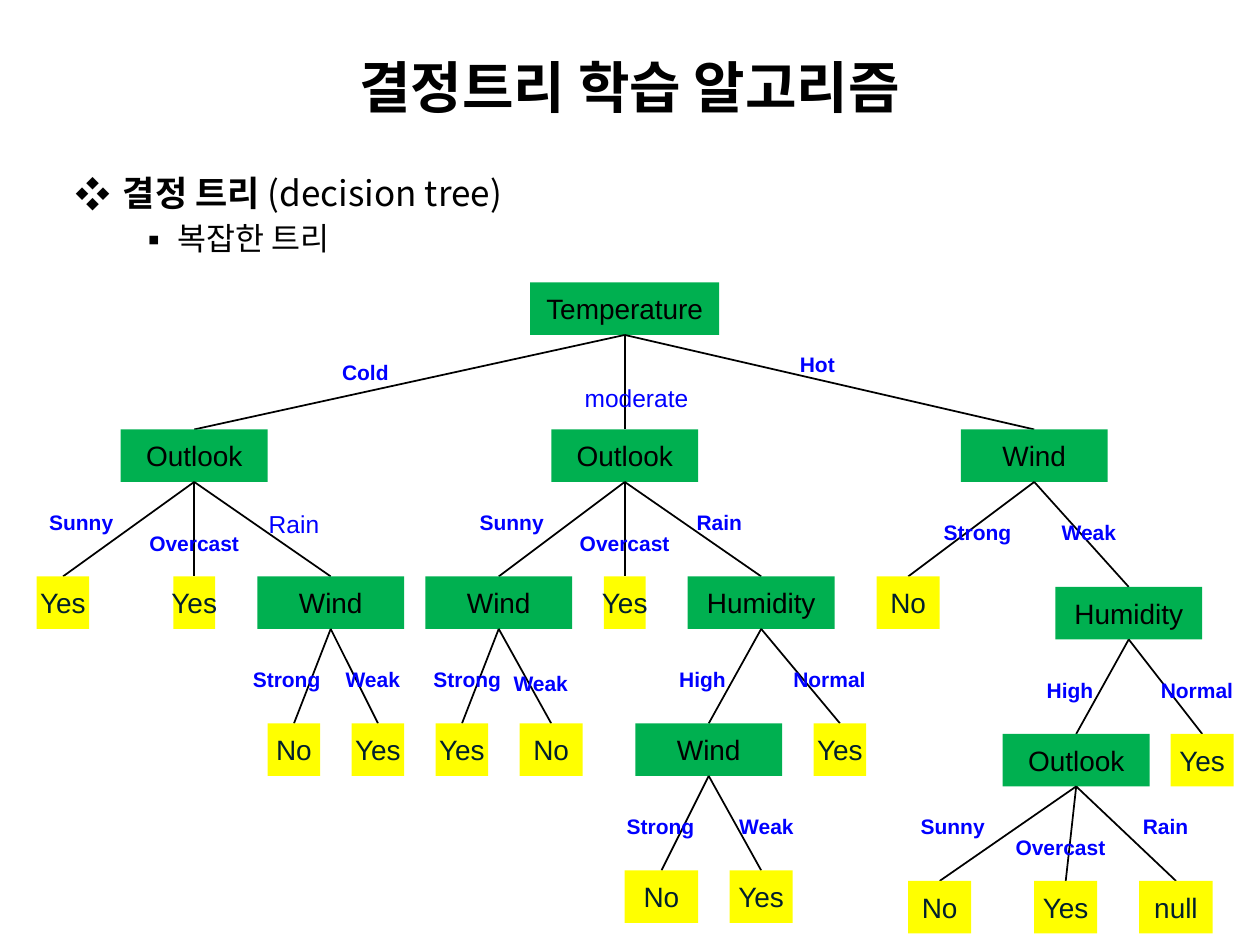
from collections import namedtuple

from lxml import etree
from pptx import Presentation
from pptx import util as u
from pptx.dml.color import RGBColor
from pptx.enum import shapes, text
from pptx.oxml.ns import qn

PX = u.Inches(1) // 120
KOREAN = "Noto Sans CJK KR"
BLACK, BLUE, GREEN, YELLOW, INK = "000000", "0000FF", "00B050", "FFFF00", "011F2D"
NODE_HEIGHT = 50
TEST_WIDTH = 140
LEFT_LABELS = {"Cold", "moderate", "Hot", "Sunny", "Strong", "High"}

# Label offsets start at the bottom centre of the parent node.
Label = namedtuple("Label", "words dx dy width plain", defaults=[False])
# dx runs from the parent's centre, drop from its bottom edge.
Node = namedtuple("Node", "name dx width branches drop", defaults=[(), 90])


def px(*lengths):
    return [u.Emu(length * PX) for length in lengths]


def colour(value):
    return RGBColor.from_string(value)


def add_run(para, words, size, ink=BLACK, bold=False, face="Arial"):
    span = para.add_run()
    span.text = words
    font = span.font
    font.size, font.bold, font.name = u.Pt(size), bold, face
    font.color.rgb = colour(ink)
    return span


def add_korean_run(para, words, size, bold=False, face=KOREAN):
    span = add_run(para, words, size, bold=bold, face=face)
    latin = span.font._element.find(qn("a:latin"))
    east_asian = etree.Element(qn("a:ea"), typeface=KOREAN)
    latin.addnext(east_asian)


def place(shape, box):
    shape.left, shape.top, shape.width, shape.height = px(*box)


def fill_title(page, box):
    title = page.shapes.title
    place(title, box)
    frame = title.text_frame
    frame.vertical_anchor = text.MSO_ANCHOR.MIDDLE
    frame.auto_size = text.MSO_AUTO_SIZE.NONE
    para = frame.paragraphs[0]
    para.alignment = text.PP_ALIGN.CENTER
    add_korean_run(para, "결정트리 학습 알고리즘", 32, bold=True, face="Arial")


def set_bullet(para, mark, left, hanging):
    props = para._p.get_or_add_pPr()
    props.set("marL", str(left * PX))
    props.set("indent", str(-hanging * PX))
    etree.SubElement(props, qn("a:buFont"), typeface=KOREAN)
    etree.SubElement(props, qn("a:buChar"), char=mark)


def fill_outline(page, box):
    body = page.placeholders[1]
    place(body, box)
    frame = body.text_frame
    frame.auto_size = text.MSO_AUTO_SIZE.NONE
    heading = frame.paragraphs[0]
    set_bullet(heading, "❖", 45, 45)
    add_korean_run(heading, "결정 트리 ", 20, bold=True)
    add_korean_run(heading, "(decision tree)", 20)
    detail = frame.add_paragraph()
    detail.level = 1
    set_bullet(detail, "▪", 97, 37)
    add_korean_run(detail, "복잡한 트리", 18)


def draw_box(page, node, centre, top):
    box = page.shapes.add_shape(
        shapes.MSO_SHAPE.RECTANGLE,
        *px(centre - node.width // 2, top, node.width, NODE_HEIGHT))
    box.shadow.inherit = False
    box.fill.solid()
    box.fill.fore_color.rgb = colour(GREEN if node.branches else YELLOW)
    box.line.fill.background()
    frame = box.text_frame
    frame.word_wrap = False
    frame.vertical_anchor = text.MSO_ANCHOR.MIDDLE
    para = frame.paragraphs[0]
    para.alignment = text.PP_ALIGN.CENTER
    add_run(para, node.name, 16, BLACK if node.branches else INK)


def draw_line(page, start, end):
    line = page.shapes.add_connector(
        shapes.MSO_CONNECTOR.STRAIGHT, *px(*start, *end))
    line.line.color.rgb = colour(BLACK)
    line.line.width = u.Pt(1)
    etree.SubElement(line._element.spPr, qn("a:effectLst"))


def draw_label(page, label, centre, bottom):
    box = page.shapes.add_textbox(
        *px(centre + label.dx, bottom + label.dy, label.width, 36))
    box.text_frame.word_wrap = True
    para = box.text_frame.paragraphs[0]
    is_left = label.words in LEFT_LABELS
    para.alignment = text.PP_ALIGN.LEFT if is_left else text.PP_ALIGN.CENTER
    add_run(para, label.words, 14 if label.plain else 12, BLUE, not label.plain)


def draw_tree(page, node, centre, top):
    draw_box(page, node, centre, top)
    bottom = top + NODE_HEIGHT
    for label, child in node.branches:
        child_centre, child_top = centre + child.dx, bottom + child.drop
        draw_line(page, (centre, bottom), (child_centre, child_top))
        draw_tree(page, child, child_centre, child_top)
        draw_label(page, label, centre, bottom)


def test(name, dx, *branches, width=TEST_WIDTH, drop=90):
    return Node(name, dx, width, branches, drop)


SUNNY = Label("Sunny", -150, 20, 100)
OVERCAST = Label("Overcast", -60, 40, 120)
STRONG, WEAK = Label("Strong", -90, 30, 90), Label("Weak", 0, 30, 80)
HIGH, NORMAL = Label("High", -90, 30, 90), Label("Normal", 0, 30, 130)

COLD = test(
    "Outlook", -410,
    (SUNNY, Node("Yes", -125, 50)),
    (OVERCAST, Node("Yes", 0, 40)),
    (Label("Rain", 50, 20, 90, plain=True), test(
        "Wind", 130,
        (STRONG._replace(dx=-86, width=102), Node("No", -35, 50)),
        (WEAK, Node("Yes", 45, 50)))))

MODERATE = test(
    "Outlook", 0,
    (SUNNY, test(
        "Wind", -120,
        (STRONG._replace(dx=-74), Node("Yes", -35, 50)),
        (WEAK._replace(dy=34), Node("No", 50, 60)))),
    (OVERCAST, Node("Yes", 0, 40)),
    (Label("Rain", 50, 20, 80), test(
        "Humidity", 130,
        (HIGH, test(
            "Wind", -50,
            (STRONG, Node("No", -45, 70)),
            (WEAK._replace(width=110), Node("Yes", 50, 60)))),
        (NORMAL, Node("Yes", 75, 50)))))

HOT = test(
    "Wind", 390,
    (STRONG._replace(dx=-98, width=98), Node("No", -120, 60)),
    (WEAK._replace(dx=12), test(
        "Humidity", 90,
        (HIGH, test(
            "Outlook", -50,
            (SUNNY._replace(dx=-160), Node("No", -130, 60)),
            (OVERCAST._replace(dx=-80, width=130), Node("Yes", -10, 60)),
            (Label("Rain", 40, 20, 90), Node("null", 95, 70)))),
        (NORMAL, Node("Yes", 70, 60)),
        drop=100)))

TREE = test(
    "Temperature", 0,
    (Label("Cold", -281, 18, 70), COLD),
    (Label("moderate", -50, 40, 128, plain=True), MODERATE),
    (Label("Hot", 155, 10, 60), HOT),
    width=180)


def main():
    deck = Presentation()
    deck.slide_width, deck.slide_height = px(1200, 900)
    page = deck.slides.add_slide(deck.slide_layouts[1])
    fill_title(page, (60, 36, 1080, 92))
    fill_outline(page, (60, 157, 1080, 700))
    draw_tree(page, TREE, 595, 269)
    deck.save("out.pptx")


if __name__ == "__main__":
    main()
